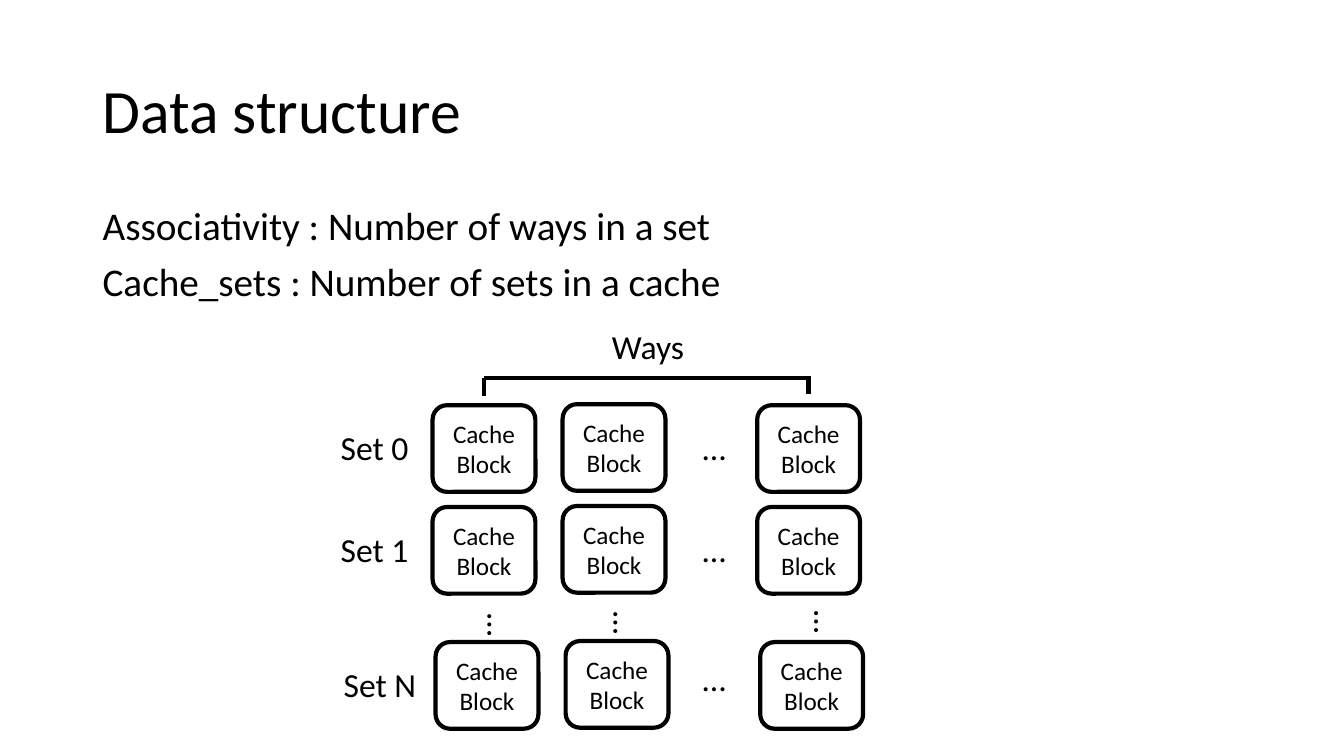
from lxml import etree
from pptx import Presentation
from pptx.dml.color import RGBColor
from pptx.enum.shapes import MSO_CONNECTOR as Connector, MSO_SHAPE as Shape
from pptx.enum.text import MSO_ANCHOR as Anchor, MSO_AUTO_SIZE as AutoSize, PP_ALIGN as Align
from pptx.oxml.ns import qn
from pptx.util import Inches, Pt

# Content
TITLE = "Data structure"
DEFINITIONS = ["Associativity : Number of ways in a set",
               "Cache_sets : Number of sets in a cache"]
WAYS_LABEL = "Ways"
BLOCK_TEXT = "Cache\nBlock"
ELLIPSIS = "…"

# Each set: label, label width, block top, shift to the right, ellipsis top
SETS = [("Set 0", 0.88, 4.02, 0, 4.19),
        ("Set 1", 0.88, 5.03, 0, 5.2),
        ("Set N", 0.93, 6.37, 0.03, 6.48)]
# Each way: block left, rise above the row
WAYS = [(4.29, 0), (5.58, 0.01), (7.51, 0)]
# Vertical ellipses between Set 1 and Set N: left, top
VERTICAL_DOTS = [(4.61, 5.99), (5.86, 5.97), (7.85, 5.96)]

COLORS = {"ink": "000000", "paper": "FFFFFF"}
FONT = "Calibri"
BLOCK_WIDTH, BLOCK_HEIGHT = 1.02, 0.86
LABEL_LEFT, LABEL_DROP, LABEL_HEIGHT = 3.28, 0.17, 0.5
DOTS_LEFT, DOTS_WIDTH = 6.87, 0.44
BRACKET_TOP = 3.75
LINE_WIDTH = 3


def color(name):
    return RGBColor.from_string(COLORS[name])


def write(text_frame, text, size, align=Align.LEFT, spacing=None, before=None):
    text_frame.text = text
    for paragraph in text_frame.paragraphs:
        paragraph.alignment = align
        paragraph.line_spacing = spacing
        paragraph.space_before = before
        for run in paragraph.runs:
            run.font.name = FONT
            run.font.size = Pt(size)
            run.font.color.rgb = color("ink")


def add_text(left, top, width, height, text, size, **style):
    box = slide.shapes.add_textbox(*map(Inches, (left, top, width, height)))
    box.text_frame.word_wrap = True
    write(box.text_frame, text, size, **style)
    return box.text_frame


def add_label(left, top, width, text, height=LABEL_HEIGHT):
    text_frame = add_text(left, top, width, height, text, 24)
    text_frame.word_wrap = False
    text_frame.auto_size = AutoSize.SHAPE_TO_FIT_TEXT
    return text_frame


def add_block(left, top):
    block = slide.shapes.add_shape(
        Shape.ROUNDED_RECTANGLE, *map(Inches, (left, top, BLOCK_WIDTH, BLOCK_HEIGHT)))
    block.shadow.inherit = False
    block.fill.solid()
    block.fill.fore_color.rgb = color("paper")
    block.line.color.rgb = color("ink")
    block.line.width = Pt(LINE_WIDTH)
    block.text_frame.vertical_anchor = Anchor.MIDDLE
    write(block.text_frame, BLOCK_TEXT, 18, align=Align.CENTER)


def add_line(*ends):
    line = slide.shapes.add_connector(Connector.STRAIGHT, *map(Inches, ends))
    line.line.color.rgb = color("ink")
    line.line.width = Pt(LINE_WIDTH)
    etree.SubElement(line._element.spPr, qn("a:effectLst"))


presentation = Presentation()
presentation.slide_width = Inches(13.33)
presentation.slide_height = Inches(7.5)
slide = presentation.slides.add_slide(presentation.slide_layouts[6])

# Title and definitions
title = add_text(0.92, 0.4, 11.5, 1.45, TITLE, 44, spacing=0.9)
title.vertical_anchor = Anchor.MIDDLE
add_text(0.92, 2, 11.5, 4.76, "\n".join(DEFINITIONS), 28, spacing=0.9, before=Pt(10))

# Bracket over the ways
bracket_left, bracket_right = (WAYS[i][0] + BLOCK_WIDTH / 2 for i in (0, -1))
add_line(bracket_left, 3.93, bracket_left, BRACKET_TOP)
add_line(bracket_right, 3.91, bracket_right, BRACKET_TOP - 0.02)
add_line(bracket_right, BRACKET_TOP, bracket_left, BRACKET_TOP)
add_label(5.97, 3.18, 0.93, WAYS_LABEL)

# Dots between the rows, behind the last row of blocks
for left, top in VERTICAL_DOTS:
    dots = add_label(left, top, 0.61, ELLIPSIS, height=0.33)
    dots._txBody.bodyPr.set("vert", "eaVert")

# Sets of cache blocks
for label, label_width, top, shift, dots_top in SETS:
    add_label(LABEL_LEFT + shift, top + LABEL_DROP, label_width, label)
    for left, rise in WAYS:
        add_block(left + shift, top - rise)
    add_label(DOTS_LEFT, dots_top, DOTS_WIDTH, ELLIPSIS)

presentation.save("out.pptx")
